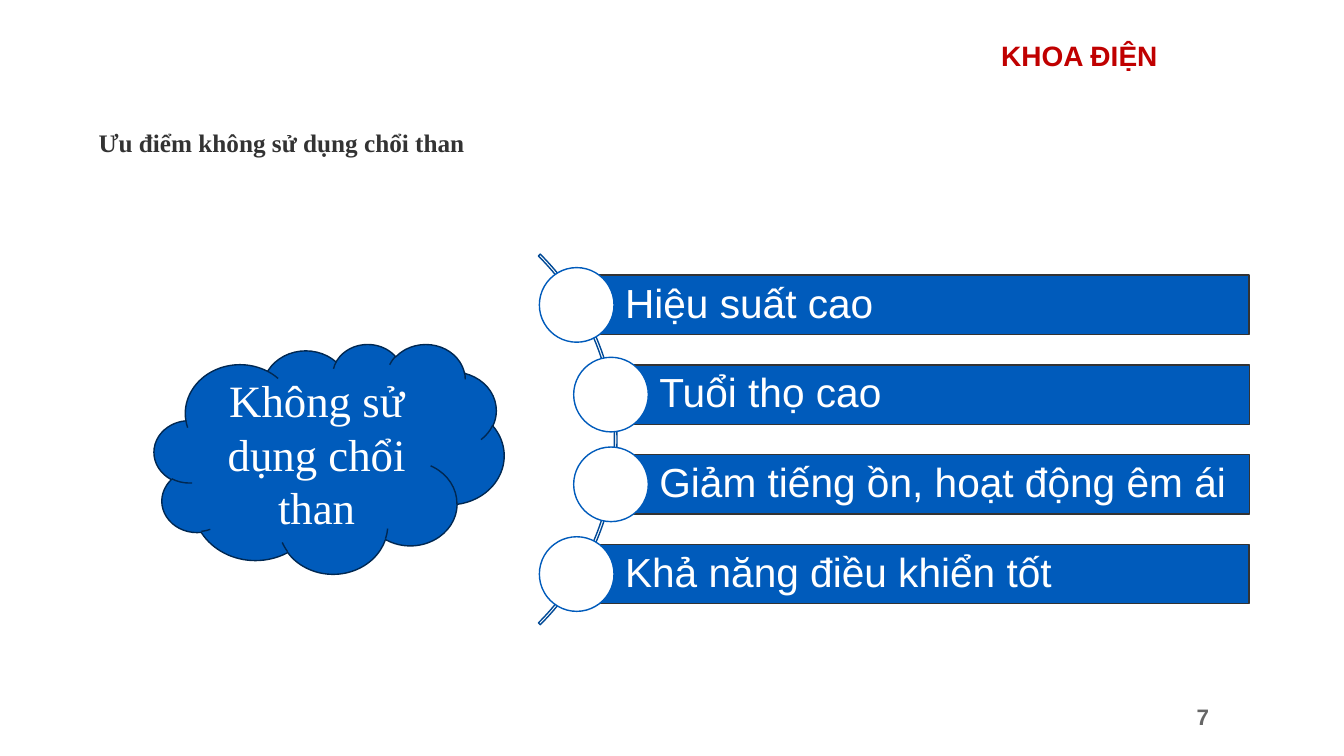
from pptx import Presentation
from pptx.dml.color import RGBColor
from pptx.enum.shapes import MSO_SHAPE
from pptx.enum.text import MSO_ANCHOR, PP_ALIGN
from pptx.util import Inches, Pt

RECT, OVAL = MSO_SHAPE.RECTANGLE, MSO_SHAPE.OVAL
CLOUD, ARC = MSO_SHAPE.CLOUD, MSO_SHAPE.BLOCK_ARC
TOP, MIDDLE = MSO_ANCHOR.TOP, MSO_ANCHOR.MIDDLE
LEFT, CENTER, RIGHT = PP_ALIGN.LEFT, PP_ALIGN.CENTER, PP_ALIGN.RIGHT

HEADER = "KHOA ĐIỆN"
TITLE = "Ưu điểm không sử dụng chổi than"
TOPIC = "Không sử dụng chổi than"
PERKS = [
    ("Hiệu suất cao", 5.73),
    ("Tuổi thọ cao", 6.07),
    ("Giảm tiếng ồn, hoạt động êm ái", 6.07),
    ("Khả năng điều khiển tốt", 5.73),
]
PAGE = "7"

THEME = {
    "sans": "Arial", "serif": "Times New Roman",
    "blue": "005BBB", "navy": "002852", "arc": "004996",
    "white": "FFFFFF", "dark": "333333", "gray": "666666", "red": "C00000",
    "page": 16, "title": 18, "header": 20, "perk": 29, "topic": 32,
}

BAR_TOP, BAR_END, BAR_H, STEP = 2.73, 12.39, 0.59, 0.89
DOT, DOT_SHIFT = 0.74, 0.38

deck = Presentation()
deck.slide_width, deck.slide_height = Inches(13.33), Inches(7.5)
slide = deck.slides.add_slide(deck.slide_layouts[6])


def color(name):
    return RGBColor.from_string(THEME[name])


def write(shape, text, size, font, ink, align=LEFT, anchor=TOP, bold=False):
    frame = shape.text_frame
    frame.word_wrap = True
    frame.vertical_anchor = anchor
    frame.text = text
    para = frame.paragraphs[0]
    para.alignment = align
    face = para.runs[0].font
    face.name, face.size, face.bold = THEME[font], Pt(THEME[size]), bold
    face.color.rgb = color(ink)
    return para


def label(box, *args, **style):
    return write(slide.shapes.add_textbox(*map(Inches, box)), *args, **style)


def draw(kind, box, fill, line):
    shape = slide.shapes.add_shape(kind, *map(Inches, box))
    shape.shadow.inherit = False
    if fill:
        shape.fill.solid()
        shape.fill.fore_color.rgb = color(fill)
    else:
        shape.fill.background()
    shape.line.color.rgb = color(line)
    shape.line.width = Pt(1)
    return shape


def perk(row, text, left):
    top = BAR_TOP + row * STEP
    bar = draw(RECT, (left, top, BAR_END - left, BAR_H), "blue", "dark")
    frame = bar.text_frame
    frame.margin_left = Inches(0.47)
    frame.margin_top = frame.margin_right = frame.margin_bottom = Inches(0.08)
    para = write(bar, text, "perk", "sans", "white", anchor=MIDDLE)
    para.line_spacing = 0.9
    dot_top = top + (BAR_H - DOT) / 2
    draw(OVAL, (left - DOT_SHIFT, dot_top, DOT, DOT), "white", "blue")


label((7.59, 6.91, 4.5, 0.4), PAGE, "page", "sans", "gray",
      align=RIGHT, anchor=MIDDLE, bold=True)
head = label((8.55, 0.33, 3.03, 0.44), HEADER, "header", "sans", "red",
             align=RIGHT, bold=True)
head.space_before = head.space_after = Pt(0.8)
label((0.88, 1.21, 6.67, 0.4), TITLE, "title", "serif", "dark", bold=True)

cloud = draw(CLOUD, (1.53, 3.41, 3.47, 2.28), "blue", "navy")
write(cloud, TOPIC, "topic", "serif", "white", align=CENTER, anchor=MIDDLE)

arc = draw(ARC, (0.92, 1.76, 5.2, 5.2), None, "arc")
for spot, value in enumerate((189, 27, 0.005)):
    arc.adjustments[spot] = value

for row, (text, left) in enumerate(PERKS):
    perk(row, text, left)

deck.save("out.pptx")
